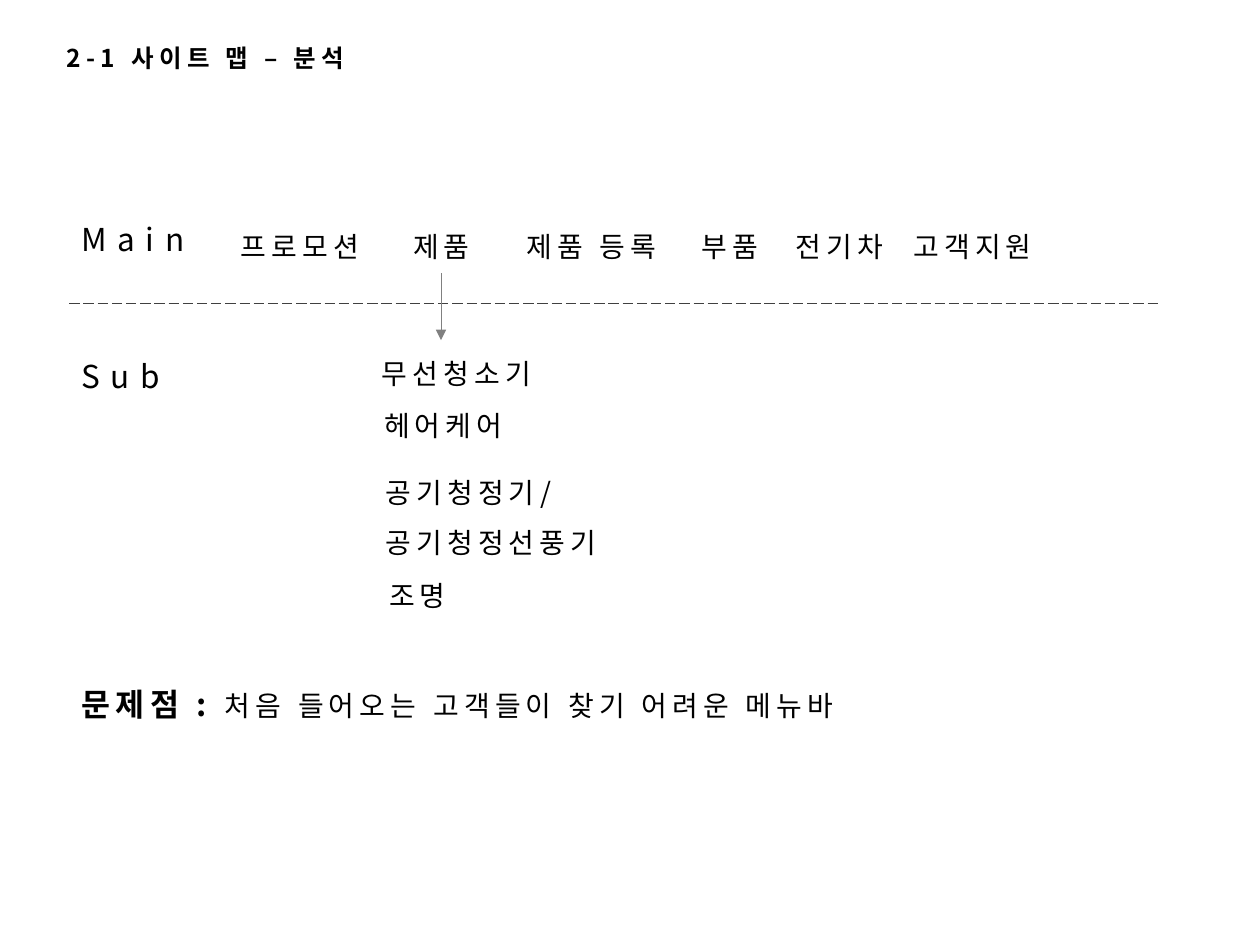
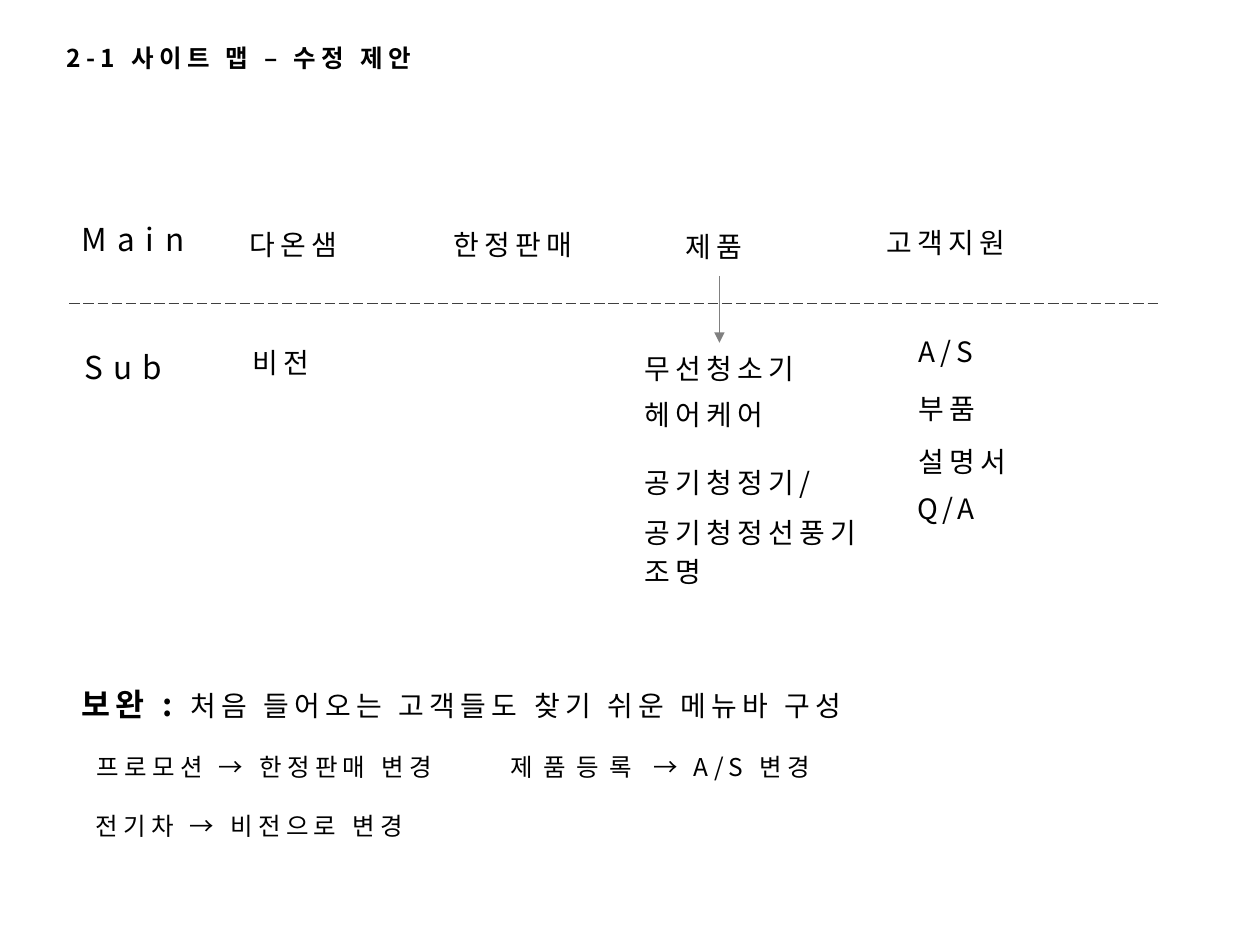
from dataclasses import dataclass

from pptx import Presentation
from pptx.dml.color import RGBColor
from pptx.enum.dml import MSO_LINE_DASH_STYLE as Dash
from pptx.enum.shapes import MSO_CONNECTOR as Connector
from pptx.enum.text import MSO_ANCHOR as Anchor, MSO_AUTO_SIZE as AutoSize, PP_ALIGN as Align
from pptx.oxml.ns import qn
from pptx.util import Pt
from lxml.etree import SubElement


@dataclass(frozen=True)
class Theme:
    font: str = "Noto Sans CJK KR"
    ink: str = "000000"
    divider: str = "404040"
    arrow: str = "808080"
    label: int = 18
    item: int = 16
    small: int = 14
    spacing: int = 3
    wide_spacing: int = 6


# Height of a one-line box for each type size
LINE_HEIGHT = {18: 29, 16: 26.6, 14: 24.5}
MARGIN = 39.6
PRODUCTS = ["무선청소기", "헤어케어", "공기청정기/\n공기청정선풍기", "조명"]


class SiteMap:
    """Holds the style and the current slide."""

    def __init__(self, theme):
        self.theme = theme
        self.deck = Presentation()
        self.deck.slide_width, self.deck.slide_height = Pt(720), Pt(540)
        self.slide = None

    def style(self, paragraph, size, spacing, bold=False):
        font = paragraph.font
        font.size, font.bold, font.name = Pt(size), bold, self.theme.font
        font.color.rgb = RGBColor.from_string(self.theme.ink)
        properties = paragraph._p.pPr.find(qn("a:defRPr"))
        properties.set("spc", str(spacing * 100))
        SubElement(properties, qn("a:ea")).set("typeface", self.theme.font)

    def place(self, box, left, top, width, height, wrap):
        box.left, box.top, box.width, box.height = map(Pt, (left, top, width, height))
        frame = box.text_frame
        frame.auto_size = AutoSize.SHAPE_TO_FIT_TEXT
        frame.word_wrap = wrap
        frame.vertical_anchor = Anchor.TOP
        return frame

    def new_slide(self, title, width):
        self.slide = self.deck.slides.add_slide(self.deck.slide_layouts[5])
        frame = self.place(self.slide.shapes.title, 31, 20.9, width, 24.5, False)
        frame.text = title
        heading = frame.paragraphs[0]
        heading.alignment = Align.LEFT
        self.style(heading, self.theme.small, self.theme.spacing, bold=True)

    def text(self, content, left, top, width, size=None, spacing=None, wrap=True):
        size, spacing = size or self.theme.item, spacing or self.theme.spacing
        lines = content.split("\n")
        height = LINE_HEIGHT[size] if len(lines) == 1 else 61.9
        box = self.slide.shapes.add_textbox(0, 0, 0, 0)
        frame = self.place(box, left, top, width, height, wrap)
        frame.text = content
        for paragraph in frame.paragraphs:
            if len(lines) > 1:
                paragraph.line_spacing = 1.5
            self.style(paragraph, size, spacing)
        return frame.paragraphs[0]

    def label(self, name, left, top):
        self.text(name, left, top, 90.7, self.theme.label, self.theme.wide_spacing)

    def line(self, start, end, color, weight):
        line = self.slide.shapes.add_connector(Connector.STRAIGHT, *map(Pt, start + end))
        line.line.color.rgb = RGBColor.from_string(color)
        line.line.width = Pt(weight)
        SubElement(line._element.spPr, qn("a:effectLst"))
        return line

    def divider(self):
        line = self.line((MARGIN, 173.5), (663.8, 173.5), self.theme.divider, 0.75)
        line.line.dash_style = Dash.LONG_DASH

    def arrow(self, x, top):
        line = self.line((x, top), (x, top + 38.2), self.theme.arrow, 0.5)
        SubElement(line.line._get_or_add_ln(), qn("a:tailEnd")).set("type", "triangle")

    def products(self, lefts, tops):
        for product, left, top in zip(PRODUCTS, lefts, tops):
            self.text(product, left, top, 170 if "\n" in product else 120.2)

    def conclusion(self, heading, statement):
        paragraph = self.text(heading, MARGIN, 388.1, 611.3, self.theme.label)
        paragraph.runs[0].font.bold = True
        run = paragraph.add_run()
        run.text = statement
        run.font.size, run.font.bold = Pt(self.theme.item), False

    def frame(self, sub_left, sub_top):
        self.label("Main", MARGIN, 122.4)
        self.label("Sub", sub_left, sub_top)
        self.divider()


def analysis(site):
    site.new_slide("2-1 사이트 맵 – 분석", 198.7)
    site.frame(MARGIN, 200.2)

    # Main menu
    for menu, left, width in [("프로모션", 130.3, 98.6), ("제품", 229, 62.6),
                              ("제품 등록", 293.8, 100), ("부품", 393.8, 64.8),
                              ("전기차", 447.8, 80), ("고객지원", 514.8, 100)]:
        site.text(menu, left, 127.4, width)

    # Product submenu
    site.products([211, 212.4, 213.1, 215.3], [200.2, 229.7, 258.5, 326.9])
    site.arrow(252, 156.2)
    site.conclusion("문제점 : ", "처음 들어오는 고객들이 찾기 어려운 메뉴바")


def proposal(site):
    site.new_slide("2-1 사이트 맵 – 수정 제안", 241.2)
    site.frame(41, 195.1)

    # Main menu, then the brand and support submenus
    for menu, left, top, width in [
            ("다온샘", 135.4, 126.7, 94.3), ("한정판매", 252, 126.7, 98.6),
            ("제품", 384.5, 127.4, 62.6), ("고객지원", 499.7, 125.3, 100),
            ("비전", 137.5, 193.7, 80),
            ("A/S", 517.7, 187.9, 100), ("부품", 517.7, 220.3, 64.8),
            ("설명서", 517.7, 250.6, 74.9), ("Q/A", 517, 277.2, 74.9)]:
        site.text(menu, left, top, width)

    # Product submenu
    site.products([361.4] * 4, [197.3, 223.9, 252.7, 313.2])
    site.arrow(411.1, 157.7)
    site.conclusion("보완 : ", "처음 들어오는 고객들도 찾기 쉬운 메뉴바 구성")

    # Menu changes
    small = site.theme.small
    site.text("프로모션 → 한정판매 변경", 48.2, 426.2, 234.7, small, wrap=False)
    site.text("전기차 → 비전으로 변경", 47.5, 460.1, 217.4, small, wrap=False)
    registration = site.text("제품등록", 284.4, 426.2, 232.6, small)
    registration.runs[0].font._element.set("spc", str(site.theme.wide_spacing * 100))
    registration.add_run().text = " → A/S 변경"


def main():
    site = SiteMap(Theme())
    analysis(site)
    proposal(site)
    site.deck.save("out.pptx")


if __name__ == "__main__":
    main()
